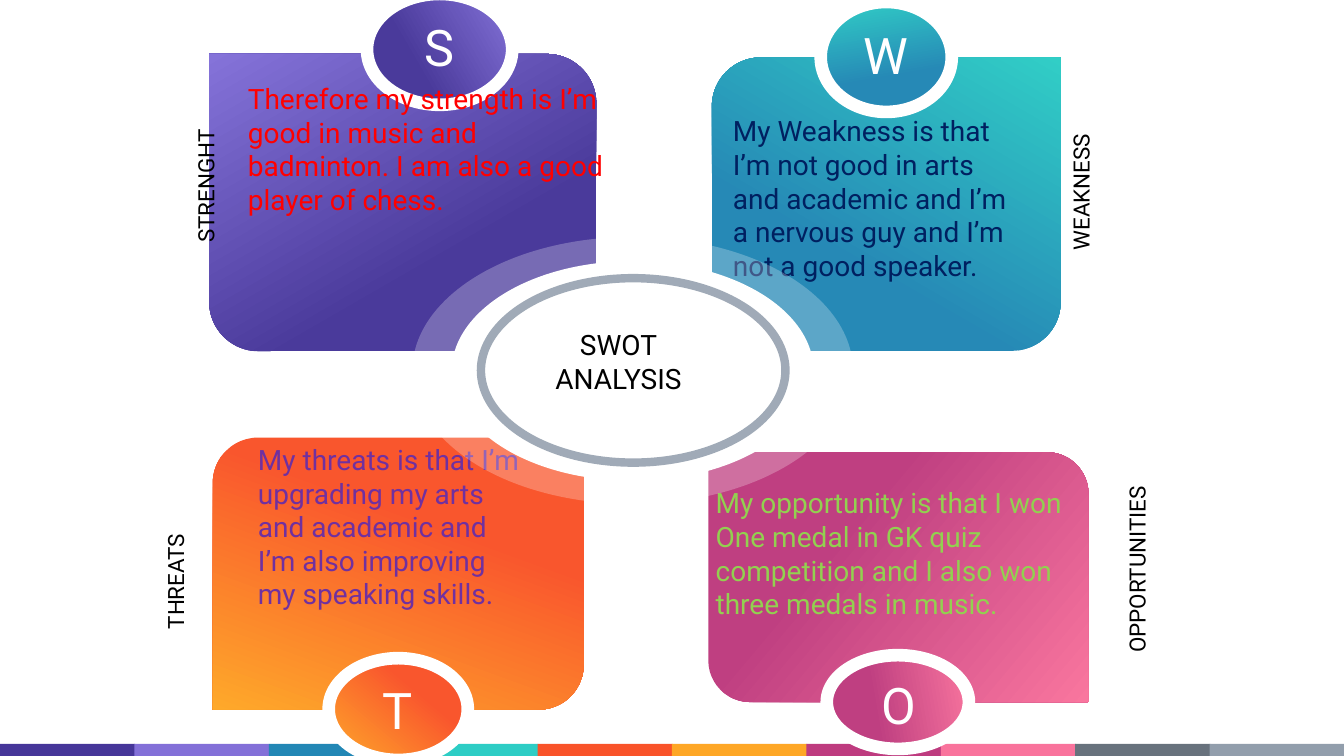
from lxml import etree
from pptx import Presentation
from pptx.dml.color import RGBColor
from pptx.enum import shapes, text
from pptx.oxml.ns import qn
from pptx.util import Inches, Pt

COLORS = {
    "white": "FFFFFF", "black": "000000", "ring": "A0AAB7",
    "purple": "4A3A9B", "lilac": "8573D9", "blue": "2689B6", "teal": "31CEC6",
    "red": "F9562D", "amber": "FEA92A", "magenta": "BF3F81", "pink": "F9769E",
    "strength text": "FF0000", "weakness text": "002060",
    "threats text": "7030A0", "opportunities text": "92D050",
}
STRIPE = ["463699", "8370D8", "2287B5", "2DCDC5", "F95329",
          "FEA726", "BE3B7F", "F9739C", "68727D", "929EAC"]
SHAPE = shapes.MSO_SHAPE


def add_shape(parent, kind, box, fill=None, angle=0, line=None, width=0, rotation=0):
    """Add a shape; fill is None, one hex colour, or a pair for a gradient."""
    s = parent.shapes.add_shape(kind, *map(Inches, box))
    s.shadow.inherit = False
    s.rotation = rotation
    if fill is None:
        s.fill.background()
    elif isinstance(fill, tuple):
        s.fill.gradient()
        s.fill.gradient_angle = (360 - angle) % 360
        for stop, position, color in zip(s.fill.gradient_stops, (0.34, 1), fill):
            stop.position = position
            stop.color.rgb = RGBColor.from_string(color)
    else:
        s.fill.solid()
        s.fill.fore_color.rgb = RGBColor.from_string(fill)
    if line:
        s.line.color.rgb = RGBColor.from_string(line)
        s.line.width = Pt(width)
    else:
        s.line.fill.background()
    return s


def add_text(parent, box, lines, size, color, centered=True, rotation=0):
    """Add a wrapping text box with one paragraph per line."""
    s = parent.shapes.add_textbox(*map(Inches, box))
    s.rotation = rotation
    tf = s.text_frame
    tf.word_wrap = True
    for i, line in enumerate(lines):
        p = tf.add_paragraph() if i else tf.paragraphs[0]
        p.alignment = text.PP_ALIGN.CENTER if centered else text.PP_ALIGN.LEFT
        r = p.add_run()
        r.text = line
        r.font.name = "Roboto"
        r.font.size = Pt(size)
        r.font.color.rgb = RGBColor.from_string(COLORS[color])


prs = Presentation()
prs.slide_width, prs.slide_height = Inches(13.33), Inches(7.5)
slide = prs.slides.add_slide(prs.slide_layouts[6])

# Colour stripe along the bottom
stripe = slide.shapes.add_group_shape()
for i, color in enumerate(STRIPE):
    add_shape(stripe, SHAPE.RECTANGLE, (i * 1.333, 7.38, 1.34, 0.12), color)

# Quadrants: each box is left, top, width, height before rotation
QUADRANTS = [
    dict(letter="T", name="THREATS", fill=("red", "amber"), ink="threats text",
         panel=(2.11, 4.34, 3.68, 2.7), rotation=180, panel_angle=290,
         badge=(3.26, 6.53, 1.38, 1.01), badge_angle=130,
         letter_box=(3.35, 6.69, 1.19, 0.71), name_box=(0.88, 5.52, 1.85, 0.5),
         body_box=(2.46, 4.34, 2.82, 1.78),
         body="My threats is that I’m upgrading my arts and academic and "
              "I’m also improving my speaking skills."),
    dict(letter="O", name="OPPORTUNITIES", fill=("magenta", "pink"),
         ink="opportunities text",
         panel=(7.67, 3.84, 2.48, 3.77), rotation=90, panel_angle=310,
         badge=(8.2, 6.5, 1.41, 0.93), badge_angle=350,
         letter_box=(8.3, 6.64, 1.23, 0.65), name_box=(10.37, 5.39, 1.96, 0.52),
         body_box=(7, 4.77, 3.94, 1.45),
         body="My opportunity is that I won One medal in GK quiz competition "
              "and I also won three medals in music."),
    dict(letter="W", name="WEAKNESS", fill=("blue", "teal"), ink="weakness text",
         panel=(7.06, 0.57, 3.46, 2.91), rotation=180, panel_angle=120,
         badge=(8.14, 0.02, 1.3, 1.09), badge_angle=260,
         letter_box=(8.23, 0.19, 1.12, 0.76), name_box=(9.77, 1.67, 2, 0.47),
         body_box=(7.17, 1.08, 3.01, 1.78),
         body="My Weakness is that I’m not good in arts and academic and "
              "I’m a nervous guy and I’m not a good speaker."),
    dict(letter="S", name="STRENGHT", fill=("purple", "lilac"), ink="strength text",
         panel=(2.52, 0.09, 2.95, 3.84), rotation=270, panel_angle=330,
         badge=(3.64, -0.06, 1.44, 1.1), badge_angle=330,
         letter_box=(3.73, 0.11, 1.25, 0.77), name_box=(1.11, 1.58, 2.02, 0.53),
         body_box=(2.36, 0.76, 3.84, 2.32),
         body="Therefore my strength is I’m good in music and badminton. "
              "I am also a good player of chess."),
]
for q in QUADRANTS:
    group = slide.shapes.add_group_shape()
    fill = tuple(COLORS[name] for name in q["fill"])
    add_shape(group, SHAPE.ROUND_2_DIAG_RECTANGLE, q["panel"], fill,
              q["panel_angle"], rotation=q["rotation"])
    add_shape(group, SHAPE.OVAL, q["badge"], fill, q["badge_angle"],
              COLORS["white"], 9)
    add_text(group, q["letter_box"], [q["letter"]], 36, "white")
    add_text(group, q["name_box"], [q["name"]], 16, "black", rotation=270)
    add_text(group, q["body_box"], [q["body"]], 20, q["ink"], centered=False)

# Central rings: translucent halo, white disc, grey outline
center = slide.shapes.add_group_shape()
halo = add_shape(center, SHAPE.OVAL, (4.09, 2.35, 4.37, 2.65), COLORS["white"])
halo_color = halo.fill._xPr.find(qn("a:solidFill"))[0]
etree.SubElement(halo_color, qn("a:alpha")).set("val", "25000")
add_shape(center, SHAPE.OVAL, (4.48, 2.59, 3.59, 2.18), COLORS["white"])
add_shape(center, SHAPE.OVAL, (4.77, 2.76, 3.02, 1.83), line=COLORS["ring"], width=6)

# Title
add_text(slide, (4.97, 3.2, 2.33, 0.77), ["SWOT", "ANALYSIS"], 20, "black")

prs.save("out.pptx")
